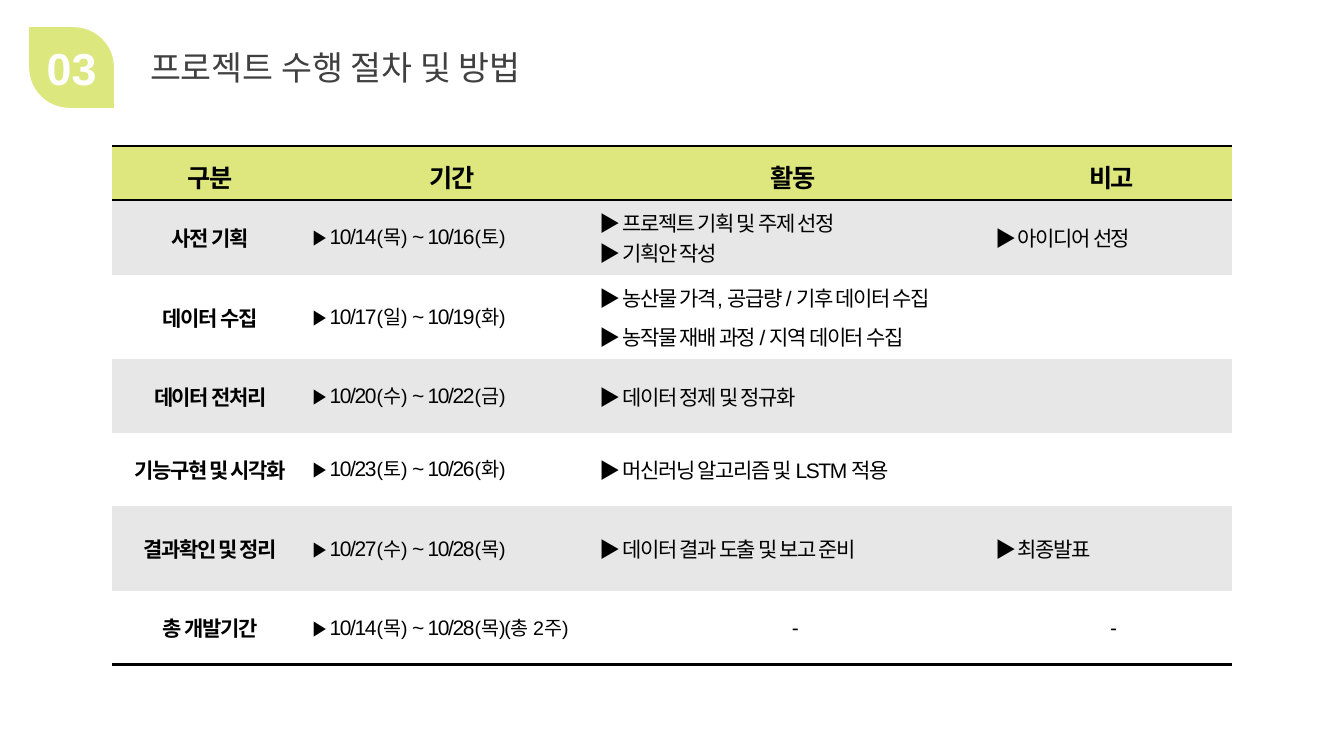
from lxml import etree
from pptx import Presentation
from pptx.dml.color import RGBColor
from pptx.enum.shapes import MSO_SHAPE
from pptx.enum.text import MSO_ANCHOR, MSO_AUTO_SIZE, PP_ALIGN
from pptx.oxml.ns import qn
from pptx.util import Inches, Pt

LIME = RGBColor(0xCE, 0xDD, 0x46)
HEADER = RGBColor(0xDD, 0xE7, 0x7D)
GRAY = RGBColor(0xE7, 0xE7, 0xE7)
WHITE = RGBColor(0xFF, 0xFF, 0xFF)
BLACK = RGBColor(0, 0, 0)
DARK = RGBColor(0x40, 0x40, 0x40)
LATIN, KOREAN = "Arial", "Noto Sans CJK KR"
PLAIN_STYLE = "{2D5ABB26-0587-4C30-8999-92F81FD0307C}"
LABEL_INSETS = (0.09, 0.05, 0.09, 0.05)
ENTRY_INSETS = (0.04, 0, 0, 0)

COLUMNS = (1.95, 2.85, 3.92, 2.39)
ROWS = (0.53, 0.74, 0.84, 0.73, 0.73, 0.84, 0.73)
HEADINGS = ("구분", "기간", "활동", "비고")
SCHEDULE = (
    ("사전 기획", ("10/14", "(목)", "10/16", "(토)"),
     ("프로젝트 기획 및 주제 선정", "기획안 작성"), ("아이디어 선정",), 0),
    ("데이터 수집", ("10/17", "(일)", "10/19", "(화)"),
     ("농산물 가격, 공급량 / 기후 데이터 수집", "농작물 재배 과정 / 지역 데이터 수집"), (), 6),
    ("데이터 전처리", ("10/20", "(수)", "10/22", "(금)"),
     ("데이터 정제 및 정규화",), (), 0),
    ("기능구현 및 시각화", ("10/23", "(토)", "10/26", "(화)"),
     ("머신러닝 알고리즘 및 LSTM 적용",), (), 0),
    ("결과확인 및 정리", ("10/27", "(수)", "10/28", "(목)"),
     ("데이터 결과 도출 및 보고 준비",), ("최종발표",), 0),
    ("총 개발기간", ("10/14", "(목)", "10/28", "(목)(총 2주)"), "-", "-", 0),
)


class Deck:
    """Hold the slide and its style, and draw each kind of element."""

    def __init__(self):
        self.prs = Presentation()
        self.prs.slide_width, self.prs.slide_height = Inches(13.33), Inches(7.5)
        self.s = self.prs.slides.add_slide(self.prs.slide_layouts[6])

    def run(self, p, text, size, color=BLACK, bold=False, font=LATIN, asian=KOREAN, spacing=0):
        r = p.add_run()
        r.text = text
        for name, value in {"size": Pt(size), "bold": bold, "name": font}.items():
            setattr(r.font, name, value)
        r.font.color.rgb = color
        rpr = r.font._element
        etree.SubElement(rpr, qn("a:ea")).set("typeface", asian)
        if spacing:
            rpr.set("spc", str(spacing * 100))

    def badge(self, left, top, width, height):
        sp = self.s.shapes.add_shape(MSO_SHAPE.ROUND_2_DIAG_RECTANGLE, Inches(left),
                                     Inches(top), Inches(width), Inches(height))
        sp.shadow.inherit = False
        sp.adjustments[0], sp.adjustments[1] = 0, 0.5
        sp.fill.solid()
        sp.fill.fore_color.rgb = LIME
        sp.line.fill.background()
        color = sp._element.spPr.find(qn("a:solidFill"))[0]
        etree.SubElement(color, qn("a:alpha")).set("val", "70000")

    def text(self, left, top, width, height, text, align, wrap, inset, **style):
        tf = self.s.shapes.add_textbox(Inches(left), Inches(top), Inches(width),
                                       Inches(height)).text_frame
        formats = {"word_wrap": wrap, "auto_size": MSO_AUTO_SIZE.SHAPE_TO_FIT_TEXT,
                   "margin_left": Inches(inset), "margin_right": Inches(inset)}
        for name, value in formats.items():
            setattr(tf, name, value)
        tf.paragraphs[0].alignment = align
        self.run(tf.paragraphs[0], text, **style)

    def table(self, left, top, columns, rows):
        frame = self.s.shapes.add_table(len(rows), len(columns), Inches(left), Inches(top),
                                        Inches(sum(columns)), Inches(sum(rows)))
        tbl = frame.table
        tbl.first_row = tbl.horz_banding = False
        tbl._tbl.tblPr.find(qn("a:tableStyleId")).text = PLAIN_STYLE
        for col, width in zip(tbl.columns, columns):
            col.width = Inches(width)
        for row, height in zip(tbl.rows, rows):
            row.height = Inches(height)
        return tbl

    def cell(self, cell, fill, insets, paragraphs, align=PP_ALIGN.LEFT, gap=0,
             line_spacing=None, borders=()):
        cell.fill.solid()
        cell.fill.fore_color.rgb = fill
        cell.vertical_anchor = MSO_ANCHOR.MIDDLE
        for side, inset in zip(("left", "top", "right", "bottom"), insets):
            setattr(cell, f"margin_{side}", Inches(inset))
        for i, runs in enumerate(paragraphs):
            p = cell.text_frame.add_paragraph() if i else cell.text_frame.paragraphs[0]
            p.alignment = align
            if line_spacing:
                p.line_spacing = line_spacing
            if i and gap:
                p.space_before = Pt(gap)
            for text, style in runs:
                self.run(p, text, spacing=-1, **style)
        for i, side in enumerate(borders):
            line = etree.Element(qn(f"a:ln{side}"), w=str(Pt(2)))
            color = etree.SubElement(etree.SubElement(line, qn("a:solidFill")), qn("a:srgbClr"))
            color.set("val", str(BLACK))
            cell._tc.get_or_add_tcPr().insert(i, line)

    def schedule(self, left, top):
        tbl = self.table(left, top, COLUMNS, ROWS)
        heading, label = {"size": 18, "bold": True}, {"size": 15, "bold": True}
        entry = {"size": 15}
        date, day = {"size": 15, "asian": LATIN}, {"size": 14, "asian": LATIN}
        for col, title in enumerate(HEADINGS):
            self.cell(tbl.cell(0, col), HEADER, LABEL_INSETS, [[(title, heading)]],
                      PP_ALIGN.CENTER, line_spacing=1.2, borders="TB")
        for row, (name, period, activities, notes, gap) in enumerate(SCHEDULE, 1):
            fill = GRAY if row % 2 else WHITE
            borders = "B" if row == len(SCHEDULE) else ""
            self.cell(tbl.cell(row, 0), fill, LABEL_INSETS, [[(name, label)]],
                      PP_ALIGN.CENTER, borders=borders)
            start, start_day, end, end_day = period
            dates = [(f"▶ {start}", date), (start_day, day), (f" ~ {end}", date), (end_day, day)]
            self.cell(tbl.cell(row, 1), fill, ENTRY_INSETS, [dates], borders=borders)
            for col, items in enumerate((activities, notes), 2):
                dash = items == "-"
                lines = [[(item if dash else f"▶ {item}", entry)] for item in items]
                self.cell(tbl.cell(row, col), fill, ENTRY_INSETS, lines,
                          PP_ALIGN.CENTER if dash else PP_ALIGN.LEFT, gap, borders=borders)


def main():
    deck = Deck()
    deck.schedule(1.11, 1.45)
    deck.badge(0.29, 0.27, 0.84, 0.8)
    deck.text(0.34, 0.35, 0.74, 0.64, "03", PP_ALIGN.CENTER, True, 0.12,
              size=32, color=WHITE, bold=True)
    deck.text(1.39, 0.42, 4.58, 0.5, "프로젝트 수행 절차 및 방법", PP_ALIGN.LEFT, False, 0.1,
              size=24, color=DARK, font=KOREAN)
    deck.prs.save("out.pptx")


if __name__ == "__main__":
    main()
